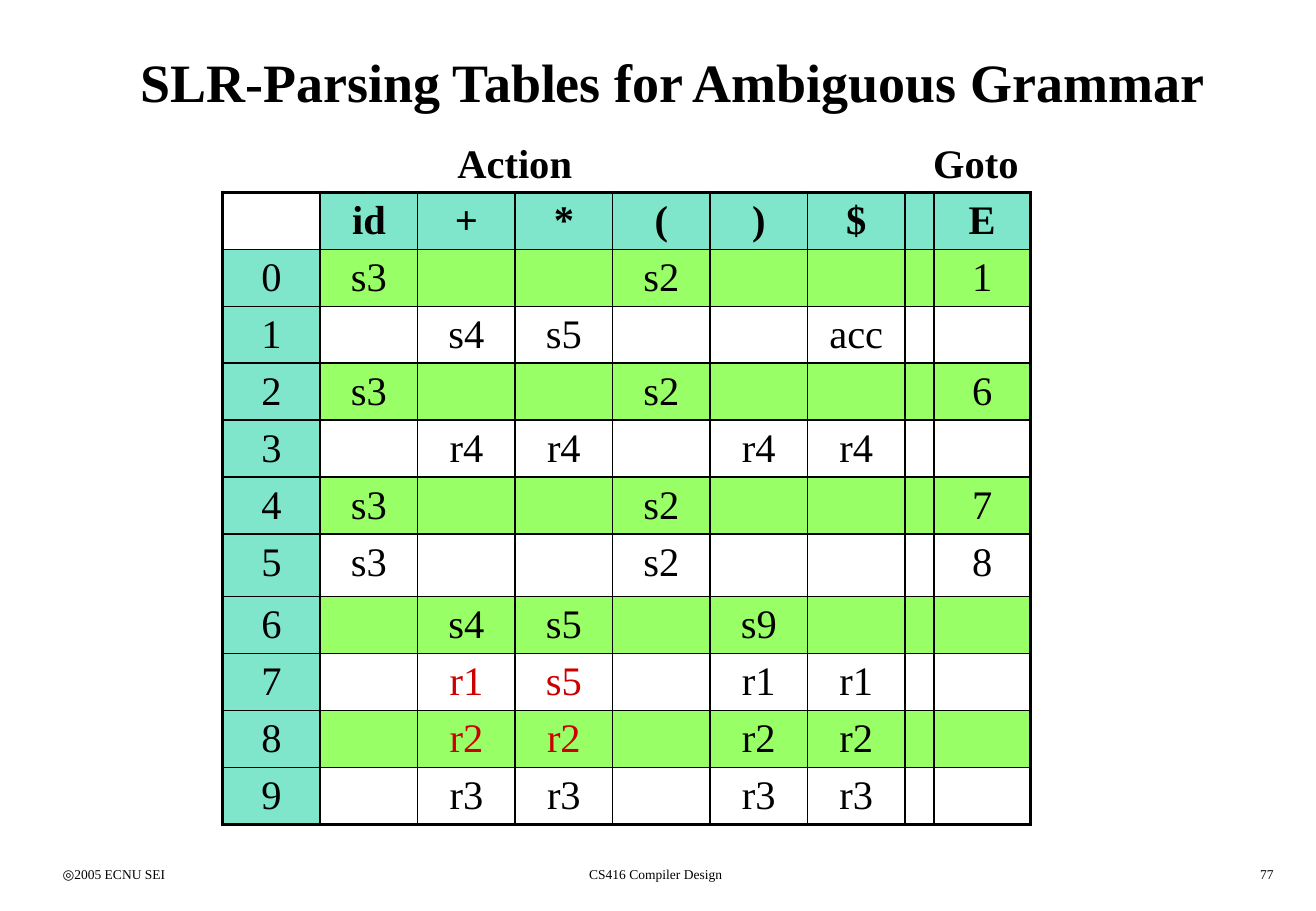
from dataclasses import dataclass
from lxml.etree import SubElement as Sub
from pptx import Presentation
from pptx.dml.color import RGBColor as Rgb
from pptx.enum.text import MSO_ANCHOR as Anchor, MSO_AUTO_SIZE as Auto, PP_ALIGN as Align
from pptx.oxml.ns import qn
from pptx.util import Inches, Pt


@dataclass(frozen=True)
class Theme:
    face: str = "Times New Roman"
    ink: str = "000000"
    red: str = "CC0000"
    teal: str = "00CC99"
    lime: str = "99FF66"
    alpha: int = 50
    head: int = 32
    body: int = 24
    foot: int = 8
    thin: float = 1
    thick: float = 2.25


look = Theme()
WIDE, HIGH = 130, 90
COLS = [9.63] * 7 + [2.8, 9.5]
ROWS = [5.63] * 6 + [6.18] + [5.63] * 4
GRID = [line.split("|") for line in (
    "|id|+|*|(|)|$||E",
    "0|s3|||s2||||1",
    "1||s4|s5|||acc||",
    "2|s3|||s2||||6",
    "3||r4|r4||r4|r4||",
    "4|s3|||s2||||7",
    "5|s3|||s2||||8",
    "6||s4|s5||s9|||",
    "7||r1|s5||r1|r1||",
    "8||r2|r2||r2|r2||",
    "9||r3|r3||r3|r3||",
)]
CLASH = {(row, col) for row in (8, 9) for col in (2, 3)}


def unit(count):
    return Inches(count / 12)


def write(frame, text, size=look.body, bold=False, color=look.ink, align=Align.LEFT):
    par = frame.paragraphs[0]
    par.alignment = align
    run = par.add_run()
    run.text = text
    font = run.font
    font.name, font.size, font.bold = look.face, Pt(size), bold
    font.color.rgb = Rgb.from_string(color)


def label(slide, box, text, wrap=True, **form):
    frame = slide.shapes.add_textbox(*map(unit, box)).text_frame
    frame.word_wrap = wrap
    frame.auto_size = Auto.NONE if wrap else Auto.SHAPE_TO_FIT_TEXT
    write(frame, text, **form)


def title(slide, box, text):
    shape = slide.shapes.title
    shape.left, shape.top, shape.width, shape.height = map(unit, box)
    frame = shape.text_frame
    frame.auto_size = Auto.NONE
    frame.vertical_anchor = Anchor.MIDDLE
    write(frame, text, size=look.head, bold=True, align=Align.CENTER)


def edge(cell, side, width):
    line = Sub(cell._tc.get_or_add_tcPr(), qn("a:ln" + side), w=str(Pt(width)))
    fill = Sub(line, qn("a:solidFill"))
    Sub(fill, qn("a:srgbClr"), val=look.ink)


def paint(cell, row, col):
    fill = cell.fill
    head = row == 0 or col == 0
    if row == col == 0 or (not head and row % 2 == 0):
        fill.background()
        return
    fill.solid()
    fill.fore_color.rgb = Rgb.from_string(look.teal if head else look.lime)
    if head:
        tint = cell._tc.tcPr.find(qn("a:solidFill") + "/" + qn("a:srgbClr"))
        Sub(tint, qn("a:alpha"), val=str(look.alpha * 1000))


def matrix(slide, box):
    left, top = box
    size = (left, top, sum(COLS), sum(ROWS))
    table = slide.shapes.add_table(len(ROWS), len(COLS), *map(unit, size)).table
    table.first_row = table.horz_banding = False
    for item, width in zip(table.columns, COLS):
        item.width = unit(width)
    for item, height in zip(table.rows, ROWS):
        item.height = unit(height)
    for row, line in enumerate(GRID):
        for col, text in enumerate(line):
            cell = table.cell(row, col)
            cell.margin_top, cell.margin_bottom = Inches(0.05), 0
            outer = {"L": col == 0, "R": col == len(COLS) - 1,
                     "T": row == 0, "B": row == len(ROWS) - 1}
            for side, rim in outer.items():
                edge(cell, side, look.thick if rim else look.thin)
            paint(cell, row, col)
            if text:
                color = look.red if (row, col) in CLASH else look.ink
                write(cell.text_frame, text, bold=row == 0, color=color, align=Align.CENTER)


def footer(slide, box):
    left, top, width, height = box
    parts = (
        (0, 0.22, "◎2005 ECNU SEI", Align.LEFT),
        (0.29, 0.4, "CS416 Compiler Design", Align.CENTER),
        (0.78, 0.22, "77", Align.RIGHT),
    )
    for start, share, text, align in parts:
        spot = (left + start * width, top, share * width, height)
        label(slide, spot, text, size=look.foot, align=align)


def main():
    deck = Presentation()
    deck.slide_width, deck.slide_height = unit(WIDE), unit(HIGH)
    slide = deck.slides.add_slide(deck.slide_layouts[5])
    footer(slide, (5, 85, 122, 3))
    title(slide, (5, 2, 123, 12), "SLR-Parsing Tables for Ambiguous Grammar")
    matrix(slide, (22, 19))
    for left, width, text in ((44, 13.8, "Action"), (91, 10.9, "Goto")):
        label(slide, (left, 13, width, 6), text, wrap=False, bold=True)
    deck.save("out.pptx")


if __name__ == "__main__":
    main()
